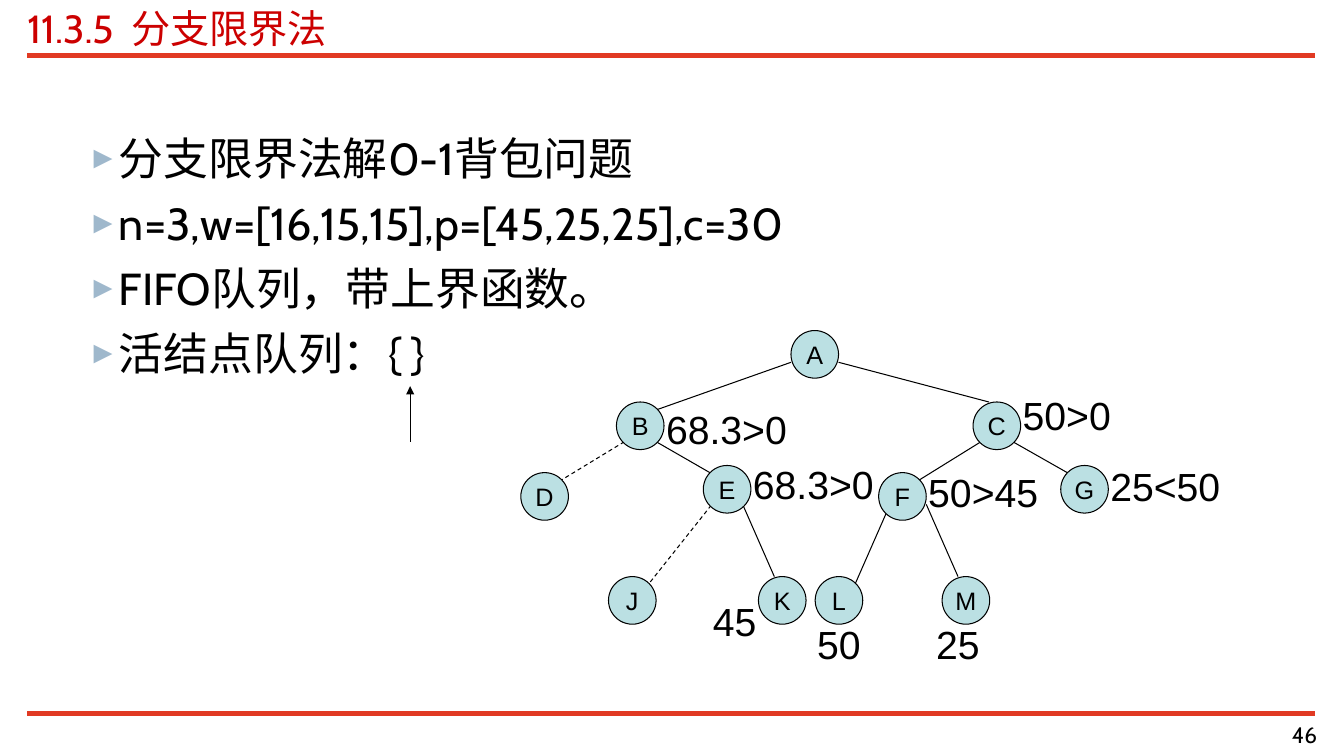
from lxml.etree import SubElement
from pptx import Presentation
from pptx.dml.color import RGBColor
from pptx.enum.dml import MSO_LINE
from pptx.enum.shapes import MSO_CONNECTOR, MSO_SHAPE
from pptx.enum.text import MSO_ANCHOR, MSO_AUTO_SIZE, PP_ALIGN
from pptx.oxml.ns import qn
from pptx.util import Cm, Pt

HUES = {"rule": "E13A23", "title": "CC0000", "ink": "000000",
        "node": "BBE0E3", "mark": "9FB8CC"}

POINTS = ["分支限界法解0-1背包问题",
          "n=3,w=[16,15,15],p=[45,25,25],c=30",
          "FIFO队列，带上界函数。",
          "活结点队列：{ }"]

# Node: left and top inside the tree box, in cm
SIZE = 1.2
NODES = {"A": (6.81, 0), "B": (2.41, 1.8), "C": (11.4, 1.8),
         "D": (0, 3.58), "E": (4.6, 3.4), "F": (9.02, 3.58), "G": (13.61, 3.4),
         "J": (2.21, 6.2), "K": (5.99, 6.2), "L": (7.42, 6.2), "M": (10.62, 6.2)}
EDGES = ["AB", "AC", "BD", "BE", "CF", "CG", "EJ", "EK", "FL", "FM"]
DASHED = {"BD", "EJ"}
WIDE = {"AB", "AC", "FM"}   # leave the parent near its side
STEEP = {"AC", "EK", "FM"}  # reach the child near its top

# Bound: text, then offset from the node's corner
BOUNDS = {"B": ("68.3>0", 1, -0.05), "C": ("50>0", 1, -0.4),
          "E": ("68.3>0", 1, -0.25), "F": ("50>45", 1, -0.23),
          "G": ("25<50", 1, -0.2), "K": ("45", -1.4, 0.4),
          "L": ("50", -0.2, 0.97), "M": ("25", -0.4, 0.97)}


def hue(name):
    return RGBColor.from_string(HUES[name])


def style(par, size, face, tint="ink"):
    for run in par.runs:
        run.font.size = Pt(size)
        run.font.name = face
        run.font.color.rgb = hue(tint)


def pad(frame, side, end):
    frame.margin_left = frame.margin_right = Cm(side)
    frame.margin_top = frame.margin_bottom = Cm(end)


def line(slide, start, stop, tint="ink", width=0.75):
    link = slide.shapes.add_connector(
        MSO_CONNECTOR.STRAIGHT, *(Cm(v) for v in (*start, *stop)))
    link.line.color.rgb = hue(tint)
    link.line.width = Pt(width)
    SubElement(link._element.spPr, qn("a:effectLst"))
    return link


def label(slide, box, text, size, face):
    shape = slide.shapes.add_textbox(*(Cm(v) for v in box))
    frame = shape.text_frame
    frame.word_wrap = True
    frame.text = text
    for par in frame.paragraphs:
        style(par, size, face)
    return frame


def header(slide, box):
    left, top, width, height = box
    title = slide.shapes.title
    title.left, title.top, title.width, title.height = (Cm(v) for v in box)
    frame = title.text_frame
    frame.text = "11.3.5  分支限界法"
    frame.auto_size = MSO_AUTO_SIZE.NONE
    frame.vertical_anchor = MSO_ANCHOR.MIDDLE
    pad(frame, 0, 0)
    frame.paragraphs[0].alignment = PP_ALIGN.LEFT
    style(frame.paragraphs[0], 28, "Cabin", "title")
    low = top + height + 0.1
    line(slide, (left, low), (left + width, low), "rule", 4)


def footer(slide, box):
    left, top, width, height = box
    line(slide, (left, top), (left + width, top), "rule", 3)
    frame = label(slide, (left + width - 6.75, top + 0.2, 6.8, height - 0.2),
                  "46", 16, "Cabin")
    pad(frame, 0, 0)
    frame.paragraphs[0].alignment = PP_ALIGN.RIGHT


def points(slide, box):
    frame = label(slide, box, "\n".join(POINTS), 32, "Cabin")
    for i, par in enumerate(frame.paragraphs):
        par.space_before = Pt(8 if i else 0)
        props = par._p.get_or_add_pPr()
        props.set("marL", str(Cm(2.06)))
        props.set("indent", str(Cm(-0.79)))
        tint = SubElement(props, qn("a:buClr"))
        SubElement(tint, qn("a:srgbClr"), val=HUES["mark"])
        SubElement(props, qn("a:buSzPct"), val="70000")
        SubElement(props, qn("a:buFont"), typeface="Arial")
        SubElement(props, qn("a:buChar"), char="►")
    # Arrow to the head of the queue
    left, top = box[:2]
    arrow = line(slide, (left + 9.65, top + 7.95), (left + 9.65, top + 6.55))
    SubElement(arrow.line._get_or_add_ln(), qn("a:tailEnd"), type="triangle")


def tree(slide, box):
    left, top = box[:2]
    spots = {name: (left + x, top + y) for name, (x, y) in NODES.items()}

    # Edges
    for edge in EDGES:
        (ax, ay), (bx, by) = (spots[name] for name in edge)
        half = SIZE / 2
        side = 1 if bx > ax else -1
        dx, dy = (0.6, 0.2) if edge in WIDE else (0.4, 0.4)
        ex, ey = (0.2, 0.6) if edge in STEEP else (0.4, 0.4)
        link = line(slide, (ax + half + side * dx, ay + half + dy),
                    (bx + half - side * ex, by + half - ey))
        if edge in DASHED:
            link.line.dash_style = MSO_LINE.DASH

    # Nodes
    for name, (x, y) in spots.items():
        node = slide.shapes.add_shape(
            MSO_SHAPE.OVAL, Cm(x), Cm(y), Cm(SIZE), Cm(SIZE))
        node.shadow.inherit = False
        node.fill.solid()
        node.fill.fore_color.rgb = hue("node")
        node.line.color.rgb = hue("ink")
        node.line.width = Pt(0.75)
        frame = node.text_frame
        frame.text = name
        frame.word_wrap = False
        frame.vertical_anchor = MSO_ANCHOR.MIDDLE
        frame.paragraphs[0].alignment = PP_ALIGN.CENTER
        style(frame.paragraphs[0], 18, "Arial")

    # Bounds
    for name, (text, dx, dy) in BOUNDS.items():
        x, y = spots[name]
        width = 3.6 if len(text) > 2 else 2
        label(slide, (x + dx, y + dy, width, 1.45), text, 28, "Arial")


def main():
    deck = Presentation()
    deck.slide_width, deck.slide_height = Cm(33.88), Cm(19.05)
    slide = deck.slides.add_slide(deck.slide_layouts[5])
    header(slide, (0.69, 0.1, 32.46, 1.2))
    points(slide, (0.69, 3.18, 32.46, 14.7))
    tree(slide, (13.13, 8.33, 18.2, 8.6))
    footer(slide, (0.69, 17.98, 32.46, 1))
    deck.save("out.pptx")


if __name__ == "__main__":
    main()
